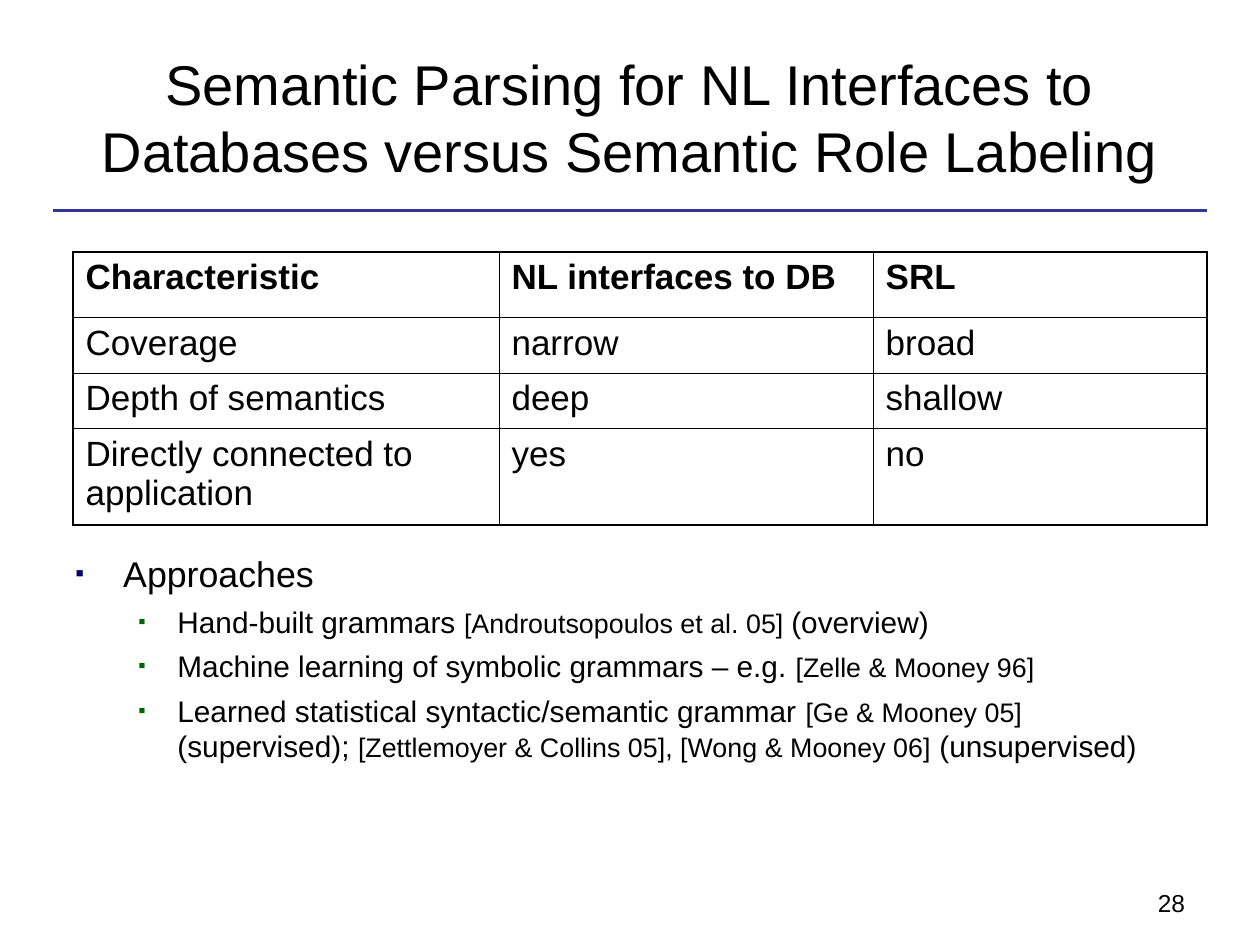
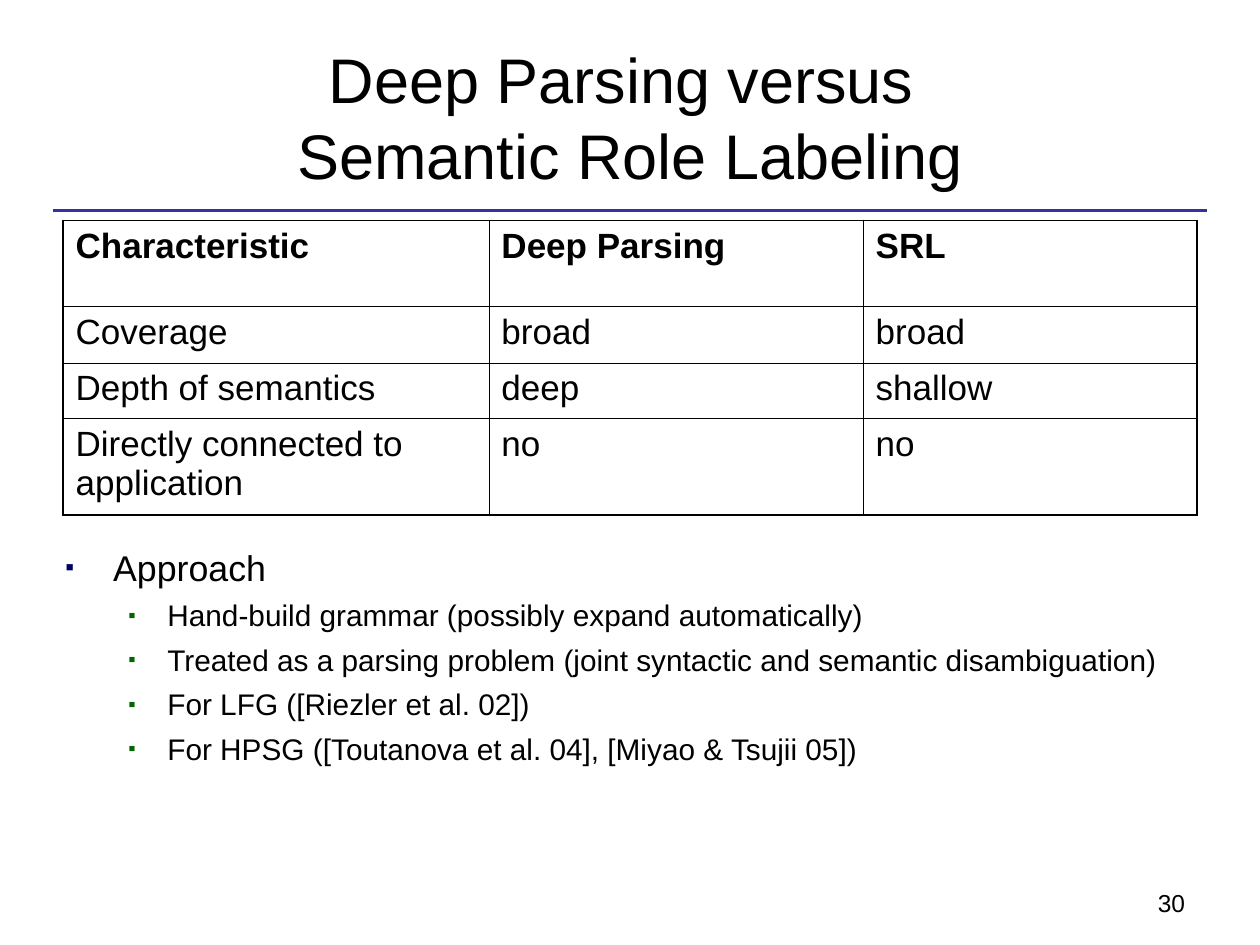
"""Build two slides that compare parsing tasks with semantic role labeling."""
from dataclasses import dataclass

from lxml import etree
from pptx import Presentation
from pptx import util as u
from pptx.dml.color import RGBColor
from pptx.enum import shapes, text
from pptx.oxml.ns import qn

EMU_PER_PX = 9144


@dataclass(frozen=True)
class Theme:
    """Colours, font and type sizes shared by the slides."""
    font: str = "Arial"
    ink: str = "000000"
    rule: str = "333399"
    bullets: tuple[str, str] = ("000066", "006600")
    rule_pt: float = 1.75
    outer_pt: float = 1.08
    inner_pt: float = 0.45
    number_pt: float = 14
    table_pt: float = 20
    body_pt: tuple[float, float] = (20.4, 17)
    cite_pt: float = 15.3


@dataclass(frozen=True)
class Box:
    """A rectangle in px."""
    left: int
    top: int
    width: int
    height: int

    def emu(self) -> list[int]:
        """Return the four lengths in EMU."""
        return [px(v) for v in (self.left, self.top, self.width, self.height)]


@dataclass(frozen=True)
class Level:
    """Indents and spacing of one bullet level."""
    margin: int
    hanging: int
    before_pt: float


@dataclass(frozen=True)
class Comparison:
    """One slide; bullet parts alternate between plain text and citations."""
    title: str
    title_pt: int
    number: int
    table_at: tuple[int, int]
    row_heights: tuple[int, ...]
    rows: tuple[tuple[str, str, str], ...]
    body: Box
    heading: str
    bullets: tuple[tuple[str, ...], ...]


THEME = Theme()
TITLE_BOX = Box(50, 30, 900, 125)
NUMBER_BOX = Box(909, 700, 91, 34)
RULE_LEFT, RULE_RIGHT, RULE_TOP = 42, 958, 167
COLUMNS = (338, 297, 265)
LEVELS = (Level(38, 38, 6), Level(81, 31, 5))

SLIDES = (
    Comparison(
        "Semantic Parsing for NL Interfaces to Databases versus Semantic Role Labeling",
        32, 28, (58, 200), (52, 44, 44, 77),
        (("Characteristic", "NL interfaces to DB", "SRL"),
         ("Coverage", "narrow", "broad"),
         ("Depth of semantics", "deep", "shallow"),
         ("Directly connected to application", "yes", "no")),
        Box(50, 433, 900, 242), "Approaches",
        (("Hand-built grammars ", "[Androutsopoulos et al. 05] ", "(overview)"),
         ("Machine learning of symbolic grammars – e.g. ", "[Zelle & Mooney 96]"),
         ("Learned statistical syntactic/semantic grammar ", "[Ge & Mooney 05]",
          " (supervised); ", "[Zettlemoyer & Collins 05], [Wong & Mooney 06]",
          " (unsupervised)"))),
    Comparison(
        "Deep Parsing versus \vSemantic Role Labeling",
        36, 30, (50, 175), (68, 45, 44, 77),
        (("Characteristic", "Deep Parsing", "SRL"),
         ("Coverage", "broad", "broad"),
         ("Depth of semantics", "deep", "shallow"),
         ("Directly connected to application", "no", "no")),
        Box(42, 428, 900, 242), "Approach",
        (("Hand-build grammar (possibly expand automatically)",),
         ("Treated as a parsing problem (joint syntactic and semantic disambiguation)",),
         ("For LFG ([Riezler et al. 02])",),
         ("For HPSG ([Toutanova et al. 04], [Miyao & Tsujii 05])",))),
)


def px(value: int) -> int:
    """Convert px to EMU."""
    return value * EMU_PER_PX


def style(font, size: float, bold: bool = False) -> None:
    """Apply the theme font at a given size."""
    font.name, font.size, font.bold = THEME.font, u.Pt(size), bold
    font.color.rgb = RGBColor.from_string(THEME.ink)


def add_text(s, box: Box, content: str, size: float):
    """Add a wrapped text box and return its text frame."""
    tf = s.shapes.add_textbox(*box.emu()).text_frame
    tf.word_wrap = True
    tf.text = content
    for r in tf.paragraphs[0].runs:
        style(r.font, size)
    return tf


def add_rule(s) -> None:
    """Draw the line below the title."""
    sp = s.shapes.add_connector(shapes.MSO_CONNECTOR.STRAIGHT, px(RULE_LEFT),
                                px(RULE_TOP), px(RULE_RIGHT), px(RULE_TOP))
    sp.line.color.rgb = RGBColor.from_string(THEME.rule)
    sp.line.width = u.Pt(THEME.rule_pt)
    etree.SubElement(sp._element.spPr, qn("a:effectLst"))


def add_border(cell, side: str, outer: bool) -> None:
    """Give one side of a cell its border."""
    width = u.Pt(THEME.outer_pt if outer else THEME.inner_pt)
    ln = etree.SubElement(cell._tc.get_or_add_tcPr(), qn(f"a:ln{side}"), w=str(width))
    fill = etree.SubElement(ln, qn("a:solidFill"))
    etree.SubElement(fill, qn("a:srgbClr"), val=THEME.ink)


def add_comparison_table(s, c: Comparison) -> None:
    """Draw the table with a bold header and heavier outer borders."""
    last_row, last_col = len(c.rows) - 1, len(COLUMNS) - 1
    box = Box(*c.table_at, sum(COLUMNS), sum(c.row_heights))
    table = s.shapes.add_table(len(c.rows), len(COLUMNS), *box.emu()).table
    table.first_row = table.horz_banding = False
    for column, width in zip(table.columns, COLUMNS):
        column.width = px(width)
    for i, (row, height) in enumerate(zip(table.rows, c.row_heights)):
        row.height = px(height)
        for j, cell in enumerate(row.cells):
            cell.text = c.rows[i][j]
            style(cell.text_frame.paragraphs[0].runs[0].font, THEME.table_pt, i == 0)
            for side, outer in (("L", j == 0), ("R", j == last_col),
                                ("T", i == 0), ("B", i == last_row)):
                add_border(cell, side, outer)
            cell.fill.background()


def add_bullet(p, level: int) -> None:
    """Set the level, indents and square bullet of a paragraph."""
    p.level = level
    pPr = p._p.get_or_add_pPr()
    pPr.set("marL", str(px(LEVELS[level].margin)))
    pPr.set("indent", str(-px(LEVELS[level].hanging)))
    color = etree.SubElement(pPr, qn("a:buClr"))
    etree.SubElement(color, qn("a:srgbClr"), val=THEME.bullets[level])
    etree.SubElement(pPr, qn("a:buSzPct"), val="70000")
    etree.SubElement(pPr, qn("a:buFont"), typeface=THEME.font)
    etree.SubElement(pPr, qn("a:buChar"), char="▪")


def add_approaches(s, c: Comparison) -> None:
    """Write the heading and its bullets below the table."""
    tf = add_text(s, c.body, c.heading, THEME.body_pt[0])
    add_bullet(tf.paragraphs[0], 0)
    for parts in c.bullets:
        p = tf.add_paragraph()
        add_bullet(p, 1)
        p.space_before = u.Pt(LEVELS[1].before_pt)
        for k, part in enumerate(parts):
            r = p.add_run()
            r.text = part
            style(r.font, THEME.cite_pt if k % 2 else THEME.body_pt[1])


def add_slide(prs, c: Comparison) -> None:
    """Build one comparison slide."""
    s = prs.slides.add_slide(prs.slide_layouts[6])
    add_rule(s)
    add_text(s, NUMBER_BOX, str(c.number), THEME.number_pt)
    tf = add_text(s, TITLE_BOX, c.title, c.title_pt)
    tf.vertical_anchor = text.MSO_ANCHOR.MIDDLE
    tf.paragraphs[0].alignment = text.PP_ALIGN.CENTER
    add_comparison_table(s, c)
    add_approaches(s, c)


def main() -> None:
    """Create the presentation and save it."""
    prs = Presentation()
    prs.slide_width, prs.slide_height = px(1000), px(750)
    for c in SLIDES:
        add_slide(prs, c)
    prs.save("out.pptx")


if __name__ == "__main__":
    main()
